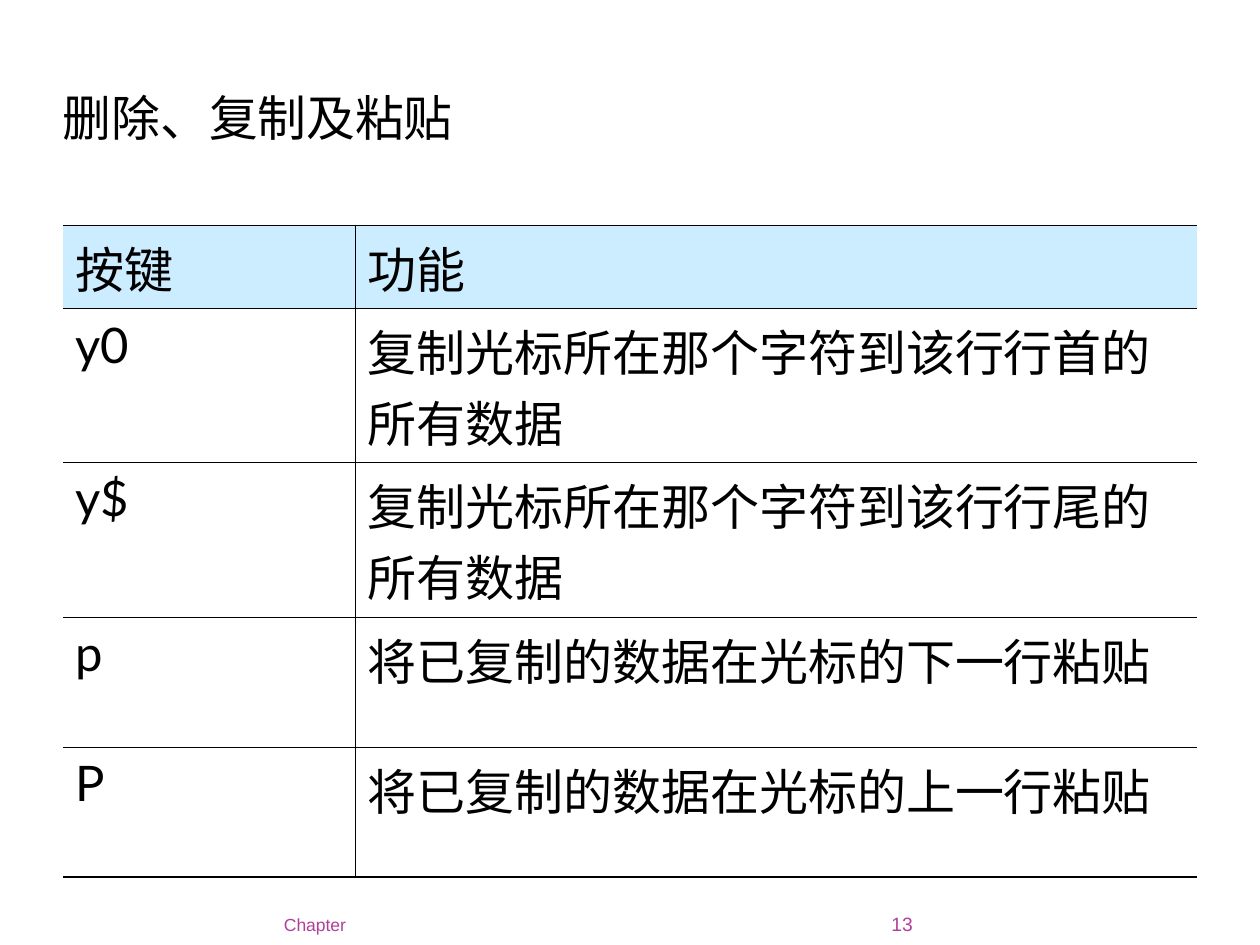
from lxml import etree
from pptx import Presentation
from pptx.dml.color import RGBColor
from pptx.enum.text import MSO_ANCHOR, PP_ALIGN
from pptx.oxml.ns import qn
from pptx.util import Inches, Pt

LEFT, CENTER = PP_ALIGN.LEFT, PP_ALIGN.CENTER
TOP, MIDDLE, BOTTOM = MSO_ANCHOR.TOP, MSO_ANCHOR.MIDDLE, MSO_ANCHOR.BOTTOM

BLACK, PURPLE, PALE_BLUE = "000000", "B13F9A", "CCECFF"
THIN, THICK = 0.45, 1.08

TITLE_FORMAT = {"name": "Lato", "size": Pt(27.9)}
CELL_FORMAT = {"name": "Lato", "size": Pt(28), "bold": False}
CHAPTER_FORMAT = {"name": "Arial", "size": Pt(10)}
NUMBER_FORMAT = {"name": "Arial", "size": Pt(11)}

KEYS = [
    ("按键", "功能"),
    ("y0", "复制光标所在那个字符到该行行首的所有数据"),
    ("y$", "复制光标所在那个字符到该行行尾的所有数据"),
    ("p", "将已复制的数据在光标的下一行粘贴"),
    ("P", "将已复制的数据在光标的上一行粘贴"),
]
COLUMN_WIDTHS = [2.32, 6.68]
ROW_HEIGHTS = [0.66, 1.22, 1.23, 1.03, 1.03]


def color(value):
    return RGBColor.from_string(value)


def write(frame, text, font_format, text_color, align=LEFT):
    paragraph = frame.paragraphs[0]
    paragraph.alignment = align
    run = paragraph.add_run()
    run.text = text
    for name, value in font_format.items():
        setattr(run.font, name, value)
    run.font.color.rgb = color(text_color)


def add_label(slide, box, text, font_format, text_color, align, anchor, inset=0):
    frame = slide.shapes.add_textbox(*map(Inches, box)).text_frame
    layout = {
        "word_wrap": True,
        "vertical_anchor": anchor,
        "margin_left": Inches(inset),
        "margin_right": Inches(inset),
        "margin_top": 0,
        "margin_bottom": 0,
    }
    for name, value in layout.items():
        setattr(frame, name, value)
    write(frame, text, font_format, text_color, align)


def set_borders(cell, widths):
    properties = cell._tc.get_or_add_tcPr()
    for side in "LRTB":
        border = etree.SubElement(properties, qn(f"a:ln{side}"))
        width = widths.get(side)
        if width is None:
            etree.SubElement(border, qn("a:noFill"))
            continue
        border.set("w", str(int(Pt(width))))
        fill = etree.SubElement(border, qn("a:solidFill"))
        etree.SubElement(fill, qn("a:srgbClr"), val=BLACK)


def add_key_table(slide, box):
    table = slide.shapes.add_table(
        len(KEYS), len(COLUMN_WIDTHS), *map(Inches, box)
    ).table
    for column, width in zip(table.columns, COLUMN_WIDTHS):
        column.width = Inches(width)
    last_row = len(KEYS) - 1
    for row_index, entries in enumerate(KEYS):
        table.rows[row_index].height = Inches(ROW_HEIGHTS[row_index])
        for column_index, text in enumerate(entries):
            cell = table.cell(row_index, column_index)
            set_borders(cell, {
                "L" if column_index else "R": THIN,
                "T": THIN if row_index else THICK,
                "B": THICK if row_index == last_row else THIN,
            })
            if row_index:
                cell.fill.background()
            else:
                cell.fill.solid()
                cell.fill.fore_color.rgb = color(PALE_BLUE)
            cell.vertical_anchor = TOP
            write(cell.text_frame, text, CELL_FORMAT, BLACK)


def add_footer(slide, box):
    left, top, width, height = box
    number_width = 0.64
    add_label(slide, (left, top, 4, height), "Chapter",
              CHAPTER_FORMAT, PURPLE, CENTER, BOTTOM, 0.1)
    add_label(slide, (left + width - number_width, top, number_width, height), "13",
              NUMBER_FORMAT, PURPLE, CENTER, BOTTOM)


def add_title(slide, box):
    add_label(slide, box, "删除、复制及粘贴", TITLE_FORMAT, BLACK, LEFT, MIDDLE)


def main():
    deck = Presentation()
    deck.slide_width, deck.slide_height = Inches(10), Inches(7.5)
    slide = deck.slides.add_slide(deck.slide_layouts[6])
    add_footer(slide, (0.5, 7.17, 6.98, 0.25))
    add_key_table(slide, (0.5, 1.79, sum(COLUMN_WIDTHS), sum(ROW_HEIGHTS)))
    add_title(slide, (0.5, 0.57, 7.14, 0.72))
    deck.save("out.pptx")


if __name__ == "__main__":
    main()
